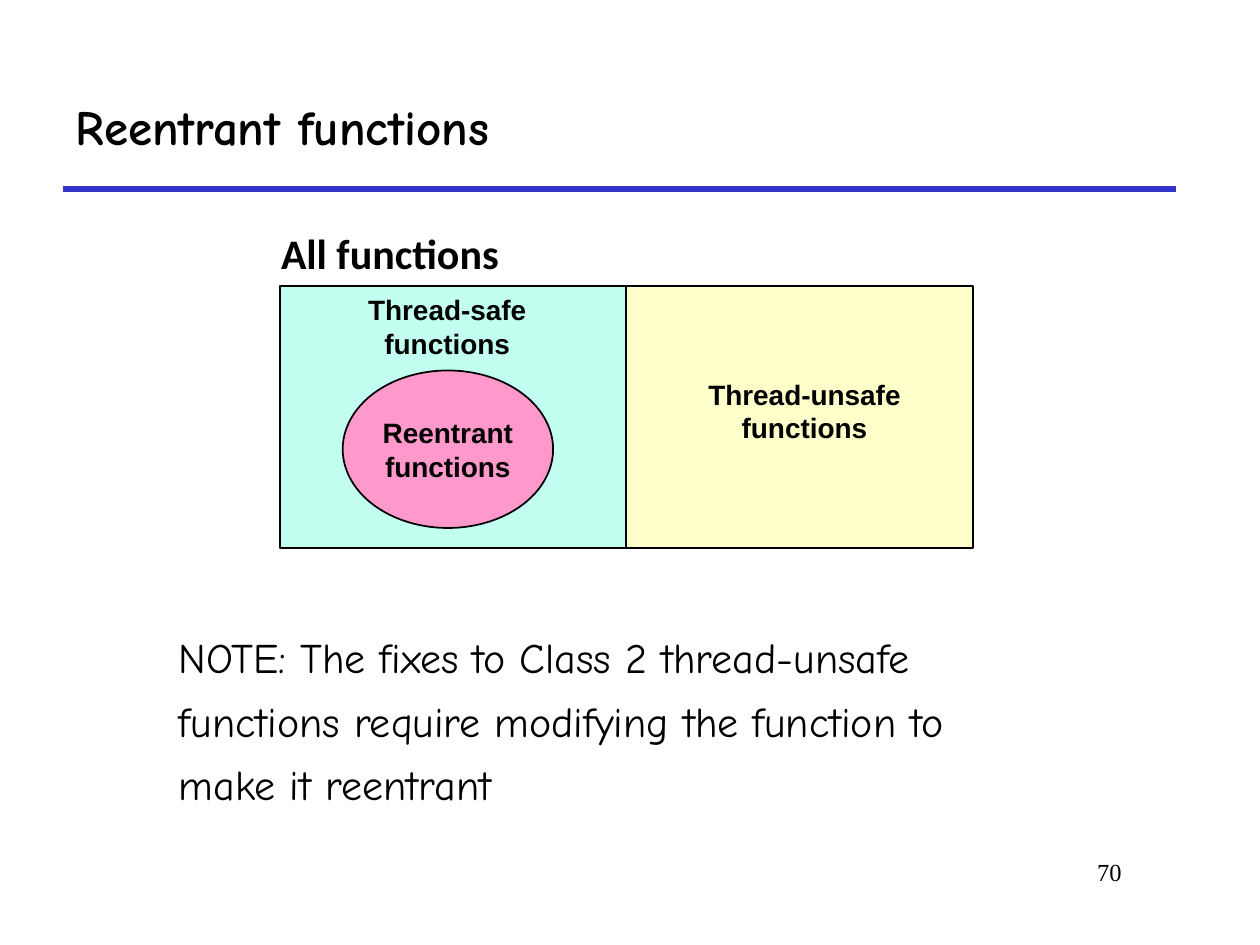
from dataclasses import dataclass

from lxml import etree
from pptx import Presentation
from pptx.dml.color import RGBColor
from pptx.enum.shapes import MSO_CONNECTOR, MSO_SHAPE
from pptx.enum.text import MSO_ANCHOR, MSO_AUTO_SIZE, PP_ALIGN
from pptx.oxml.ns import qn
from pptx.util import Inches, Pt

LEFT, CENTER, RIGHT = PP_ALIGN.LEFT, PP_ALIGN.CENTER, PP_ALIGN.RIGHT
TOP, MIDDLE = MSO_ANCHOR.TOP, MSO_ANCHOR.MIDDLE
RECTANGLE, OVAL = MSO_SHAPE.RECTANGLE, MSO_SHAPE.OVAL
STRAIGHT = MSO_CONNECTOR.STRAIGHT
NO_AUTOFIT = MSO_AUTO_SIZE.NONE
TITLE_AND_CONTENT = 1


@dataclass(frozen=True)
class TextStyle:
    font: str
    size: int
    bold: bool = False


@dataclass(frozen=True)
class Theme:
    ink: str = "000000"
    rule: str = "3333CC"
    safe: str = "C2FFF0"
    unsafe: str = "FFFFCC"
    reentrant: str = "FF99CC"
    title: TextStyle = TextStyle("Comic Neue", 28, True)
    note: TextStyle = TextStyle("Comic Neue", 24)
    heading: TextStyle = TextStyle("Calibri", 24, True)
    label: TextStyle = TextStyle("Arial", 16, True)
    number: TextStyle = TextStyle("Times New Roman", 14)


THEME = Theme()


def color(value):
    return RGBColor.from_string(value)


def place(shape, left, top, width, height):
    shape.left, shape.top = Inches(left), Inches(top)
    shape.width, shape.height = Inches(width), Inches(height)


def write(shape, lines, style, align=CENTER, anchor=MIDDLE, wrap=False):
    """Write one paragraph per line, all in the same style."""
    frame = shape.text_frame
    frame.text = "\n".join(lines)
    frame.auto_size = NO_AUTOFIT
    frame.word_wrap = wrap
    frame.vertical_anchor = anchor
    for paragraph in frame.paragraphs:
        paragraph.alignment = align
        paragraph.font.name = style.font
        paragraph.font.size = Pt(style.size)
        paragraph.font.bold = style.bold
        paragraph.font.color.rgb = color(THEME.ink)


def add_label(slide, box, lines, style, **layout):
    shape = slide.shapes.add_textbox(*map(Inches, box))
    write(shape, lines, style, **layout)


def add_region(slide, kind, box, fill):
    shape = slide.shapes.add_shape(kind, *map(Inches, box))
    shape.shadow.inherit = False
    shape.fill.solid()
    shape.fill.fore_color.rgb = color(fill)
    shape.line.color.rgb = color(THEME.ink)
    shape.line.width = Pt(1)
    return shape


def add_rule(slide, left, right, top):
    line = slide.shapes.add_connector(
        STRAIGHT, Inches(left), Inches(top), Inches(right), Inches(top))
    line.line.color.rgb = color(THEME.rule)
    line.line.width = Pt(3)
    etree.SubElement(line._element.spPr, qn("a:effectLst"))


def fill_title(slide, text):
    title = slide.shapes.title
    place(title, 0.5, 0.5, 8.83, 1)
    write(title, [text], THEME.title, align=LEFT, wrap=True)


def fill_note(slide, lines):
    note = slide.placeholders[1]
    place(note, 0.82, 4.92, 8.36, 1.58)
    write(note, lines, THEME.note, align=LEFT, anchor=TOP, wrap=True)
    for paragraph in note.text_frame.paragraphs:
        paragraph.line_spacing = 1.1
        paragraph.space_before = Pt(0.2 * THEME.note.size)
        # Indented plain lines without bullets
        properties = paragraph._p.get_or_add_pPr()
        properties.set("marL", str(Inches(0.5)))
        properties.set("indent", "0")
        bullet = etree.Element(qn("a:buNone"))
        properties.find(qn("a:spcBef")).addnext(bullet)


def add_function_diagram(slide):
    left, top, width, height = 2.22, 2.27, 2.75, 2.08
    middle = left + width
    add_label(slide, (2.12, 1.75, 1.95, 0.51), ["All functions"], THEME.heading)

    # The two halves of all functions
    add_region(slide, RECTANGLE, (left, top, width, height), THEME.safe)
    add_region(slide, RECTANGLE, (middle, top, width, height), THEME.unsafe)
    add_label(slide, (5.52, 2.94, 1.73, 0.64),
              ["Thread-unsafe", "functions"], THEME.label)
    add_label(slide, (2.82, top, 1.46, 0.64),
              ["Thread-safe", "functions"], THEME.label)

    # Reentrant functions lie inside the thread-safe half
    oval = add_region(slide, OVAL, (2.72, 2.94, 1.67, 1.25), THEME.reentrant)
    write(oval, ["Reentrant", "functions"], THEME.label)


def main():
    presentation = Presentation()
    presentation.slide_width, presentation.slide_height = Inches(10), Inches(7.5)
    layout = presentation.slide_layouts[TITLE_AND_CONTENT]
    slide = presentation.slides.add_slide(layout)

    # Header
    add_rule(slide, 0.5, 9.33, 1.5)
    fill_title(slide, "Reentrant functions")

    # Content
    add_function_diagram(slide)
    fill_note(slide, [
        "NOTE: The fixes to Class 2 thread-unsafe",
        "functions require modifying the function to",
        "make it reentrant",
    ])

    # Slide number
    add_label(slide, (7.58, 6.75, 1.42, 0.5), ["70"], THEME.number,
              align=RIGHT, anchor=TOP, wrap=True)
    presentation.save("out.pptx")


if __name__ == "__main__":
    main()
